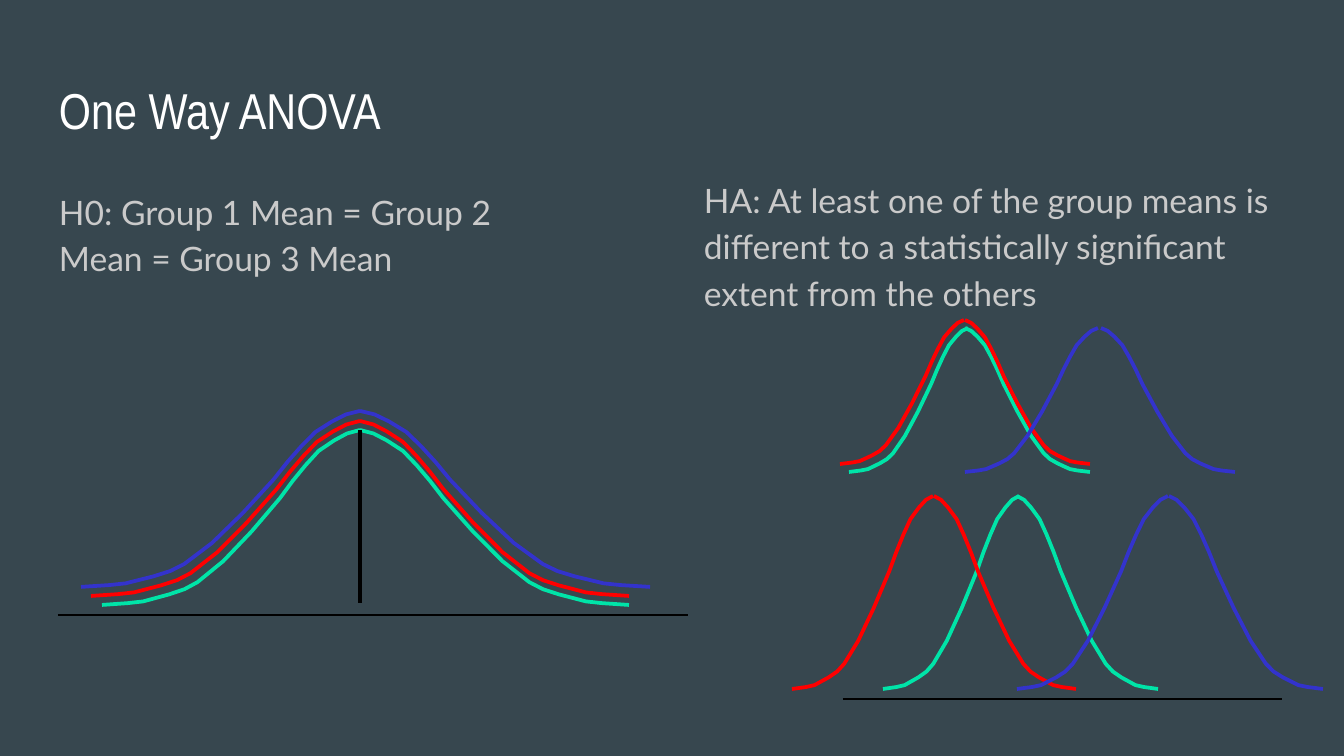
from pptx import Presentation
from pptx.dml.color import RGBColor
from pptx.enum.shapes import MSO_CONNECTOR as Connector
from pptx.enum.text import MSO_ANCHOR as Anchor
from pptx.oxml.ns import qn
from pptx.util import Emu, Pt
from lxml import etree

PX = 914400 / 134.4

SLATE = RGBColor(0x37, 0x47, 0x4F)
WHITE = RGBColor(0xFF, 0xFF, 0xFF)
GREY = RGBColor(0xCA, 0xCA, 0xCA)
BLACK = RGBColor(0x00, 0x00, 0x00)
GREEN = RGBColor(0x00, 0xE4, 0xA8)
RED = RGBColor(0xFF, 0x00, 0x00)
BLUE = RGBColor(0x33, 0x33, 0xCC)

TITLE = {"name": "Arial Narrow", "size": Pt(27)}
BODY = {"name": "Lato", "size": Pt(18)}

# Half a bell from tail to peak: share of the width, share of the height
BELL_PROFILE = [
    (0, 0), (0.1, 0.01), (0.16, 0.02), (0.21, 0.04), (0.26, 0.06), (0.32, 0.09),
    (0.37, 0.13), (0.47, 0.25), (0.58, 0.42), (0.69, 0.61), (0.74, 0.71),
    (0.79, 0.8), (0.84, 0.88), (0.9, 0.94), (0.95, 0.98), (1, 1),
]

# Colour, left tail, left peak, right peak, right tail, top, bottom
EQUAL_MEANS = [
    (GREEN, 102, 360, 360, 629, 430, 605),
    (RED, 91, 360, 360, 629, 421, 596),
    (BLUE, 81, 360, 360, 650, 411, 587),
]
ONE_MEAN_DIFFERS = [
    (GREEN, 849, 968, 965, 1090, 328, 472),
    (RED, 840, 964, 965, 1090, 320, 464),
    (BLUE, 965, 1098, 1101, 1235, 328, 472),
]
ALL_MEANS_DIFFER = [
    (GREEN, 883, 1019, 1017, 1158, 496, 689),
    (RED, 792, 933, 934, 1076, 496, 689),
    (BLUE, 1017, 1168, 1169, 1323, 496, 689),
]


def emu(px):
    return Emu(round(px * PX))


class SlideBuilder:
    """Holds the style and the slide being drawn."""

    curve_width = Pt(2)
    inset = 13

    def __init__(self, slide, background):
        self.slide = slide
        fill = slide.background.fill
        fill.solid()
        fill.fore_color.rgb = background

    def text(self, text, left, top, width, height, font, color, spacing=1.0):
        shape = self.slide.shapes.add_textbox(*map(emu, (left, top, width, height)))
        frame = shape.text_frame
        layout = {"word_wrap": True, "vertical_anchor": Anchor.TOP}
        for side in ("left", "top", "right", "bottom"):
            layout[f"margin_{side}"] = emu(self.inset)
        for name, value in layout.items():
            setattr(frame, name, value)
        paragraph = frame.paragraphs[0]
        paragraph.line_spacing = spacing
        run = paragraph.add_run()
        run.text = text
        for name, value in font.items():
            setattr(run.font, name, value)
        run.font.color.rgb = color

    def line(self, x1, y1, x2, y2, width):
        connector = self.slide.shapes.add_connector(
            Connector.STRAIGHT, *map(emu, (x1, y1, x2, y2)))
        connector.line.color.rgb = BLACK
        connector.line.width = width
        etree.SubElement(connector._element.spPr, qn("a:effectLst"))

    def half_bell(self, color, tail, peak, top, bottom):
        points = [(emu(tail + (peak - tail) * across), emu(bottom + (top - bottom) * up))
                  for across, up in BELL_PROFILE]
        builder = self.slide.shapes.build_freeform(*points[0])
        builder.add_line_segments(points[1:], close=False)
        shape = builder.convert_to_shape()
        shape.shadow.inherit = False
        shape.fill.background()
        shape.line.color.rgb = color
        shape.line.width = self.curve_width

    def bells(self, curves):
        for color, left, left_peak, right_peak, right, top, bottom in curves:
            self.half_bell(color, right, right_peak, top, bottom)
            self.half_bell(color, left, left_peak, top, bottom)


def main():
    presentation = Presentation()
    presentation.slide_width = emu(1344)
    presentation.slide_height = emu(756)
    slide = presentation.slides.add_slide(presentation.slide_layouts[6])
    builder = SlideBuilder(slide, SLATE)

    builder.text("One Way ANOVA", 46, 66, 1253, 85, TITLE, WHITE)
    builder.text("H0: Group 1 Mean = Group 2 Mean = Group 3 Mean",
                 46, 173, 547, 503, BODY, GREY, 1.15)

    builder.bells(EQUAL_MEANS)
    builder.line(360, 430, 360, 603, Pt(2.25))
    builder.line(58, 615, 688, 615, Pt(1.5))

    builder.bells(ONE_MEAN_DIFFERS)
    builder.bells(ALL_MEANS_DIFFER)
    builder.line(843, 699, 1282, 699, Pt(1.5))

    builder.text("HA: At least one of the group means is different to a "
                 "statistically significant extent from the others",
                 691, 161, 630, 503, BODY, GREY, 1.15)
    presentation.save("out.pptx")


if __name__ == "__main__":
    main()
